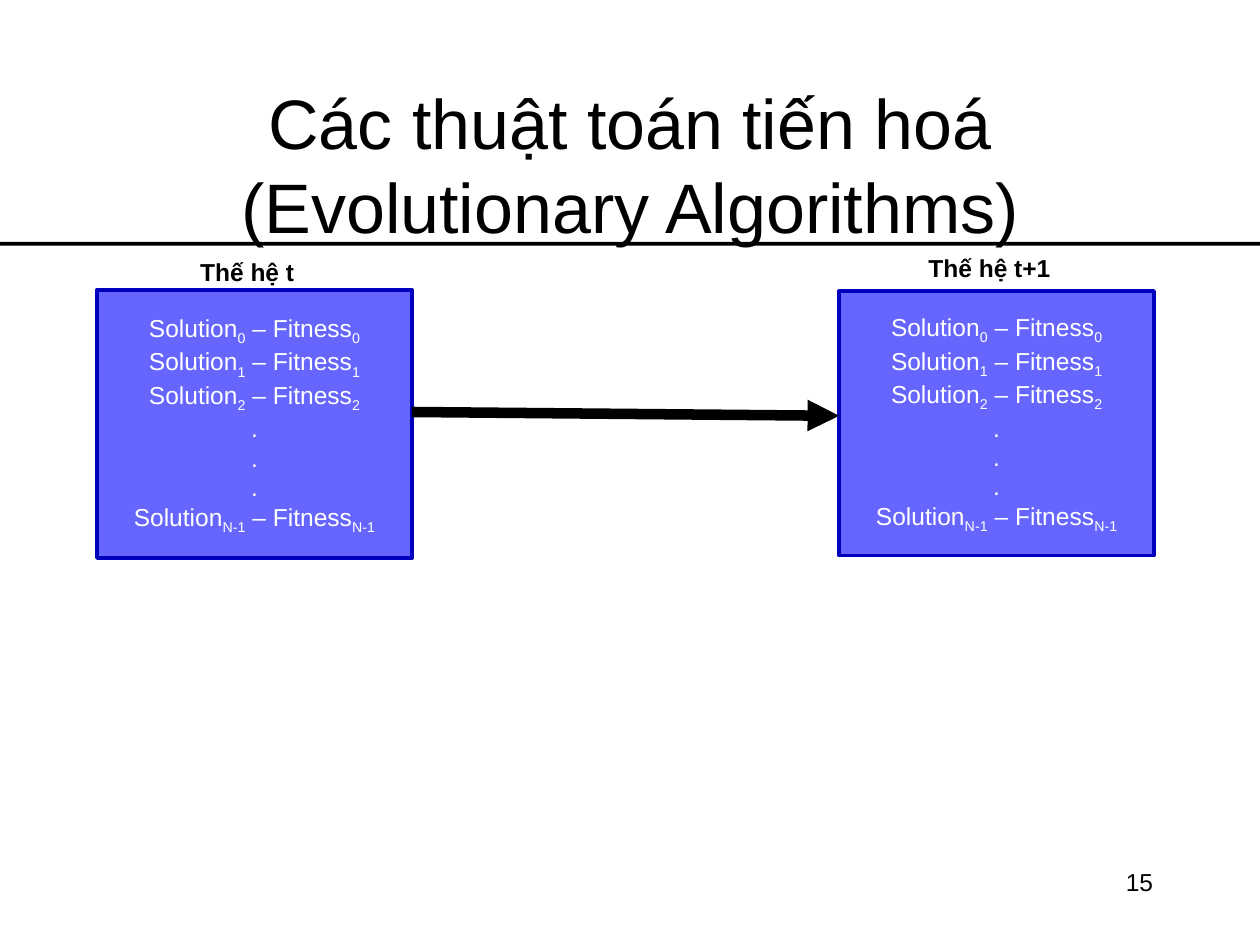
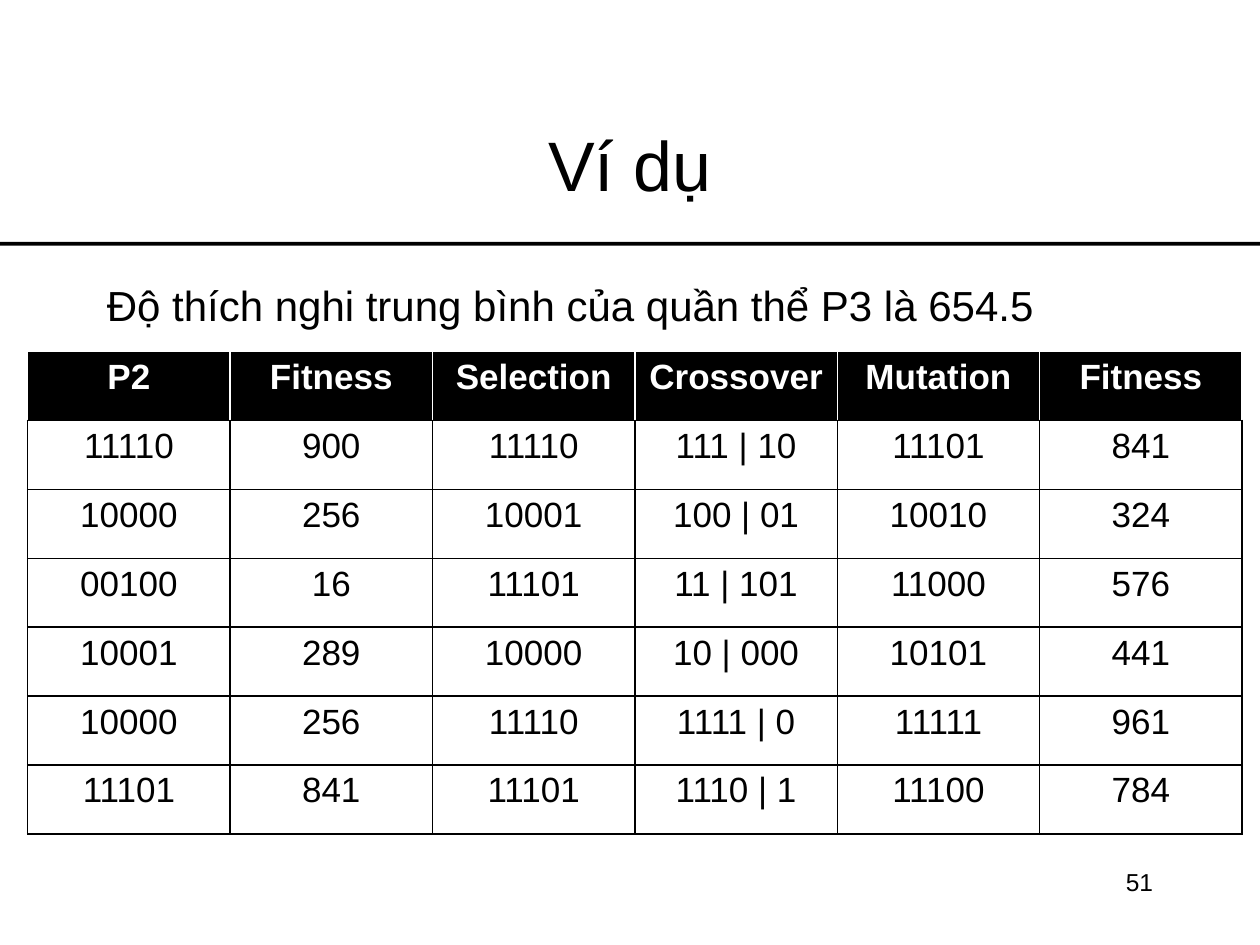
from typing import NamedTuple

from lxml.etree import SubElement
from pptx import Presentation
from pptx.dml.color import RGBColor
from pptx.enum.shapes import MSO_CONNECTOR, MSO_SHAPE
from pptx.enum.text import MSO_ANCHOR as Anchor, MSO_AUTO_SIZE, PP_ALIGN as Align
from pptx.oxml.ns import qn
from pptx.util import Inches, Pt

FONT = "Arial"
BLACK = RGBColor(0x00, 0x00, 0x00)
WHITE = RGBColor(0xFF, 0xFF, 0xFF)
VIOLET = RGBColor(0x66, 0x66, 0xFF)
NAVY = RGBColor(0x00, 0x00, 0xBD)


class Box(NamedTuple):
    left: float
    top: float
    width: float
    height: float

    def lengths(self) -> list:
        return [Inches(value) for value in self]


class Generation(NamedTuple):
    label: str
    label_box: Box
    population_box: Box


TITLE_BOX = Box(0.75, 0.67, 8.5, 1.25)
RULE_BOX = Box(-0.59, 1.92, 10.59, 0.03)
NUMBER_BOX = Box(7.17, 6.83, 2.08, 0.5)

GENERATIONS = [
    Generation("Thế hệ t", Box(1.49, 1.99, 1.52, 0.34), Box(0.77, 2.3, 2.5, 2.13)),
    Generation("Thế hệ t+1", Box(7.27, 1.96, 1.78, 0.34), Box(6.66, 2.31, 2.5, 2.1)),
]
# Subscripts of the listed solutions; None stands for a dot
SOLUTION_INDEXES = ["0", "1", "2", None, None, None, "N-1"]

SUMMARY_BOX = Box(0.75, 2.17, 8.5, 0.62)
TABLE_BOX = Box(0.22, 2.79, 9.64, 3.83)
HEADINGS = ["P2", "Fitness", "Selection", "Crossover", "Mutation", "Fitness"]
INDIVIDUALS = [
    ["11110", "900", "11110", "111 | 10", "11101", "841"],
    ["10000", "256", "10001", "100 | 01", "10010", "324"],
    ["00100", "16", "11101", "11 | 101", "11000", "576"],
    ["10001", "289", "10000", "10 | 000", "10101", "441"],
    ["10000", "256", "11110", "1111 | 0", "11111", "961"],
    ["11101", "841", "11101", "1110 | 1", "11100", "784"],
]


def add_run(paragraph, text: str, size: float, color: RGBColor = BLACK,
            bold: bool = False, subscript: bool = False) -> None:
    run = paragraph.add_run()
    run.text = text
    run.font.name = FONT
    run.font.size = Pt(size)
    run.font.bold = bold
    run.font.color.rgb = color
    if subscript:
        run._r.get_or_add_rPr().set("baseline", "-25000")


def add_text(slide, box: Box, text: str, size: float, bold: bool = False,
             align: Align = Align.LEFT) -> None:
    frame = slide.shapes.add_textbox(*box.lengths()).text_frame
    frame.word_wrap = True
    paragraph = frame.paragraphs[0]
    paragraph.alignment = align
    add_run(paragraph, text, size, bold=bold)


def add_titled_slide(deck, title_lines: list[str], number: int):
    slide = deck.slides.add_slide(deck.slide_layouts[5])

    # Rule under the title, pointing left
    rule = slide.shapes.add_shape(MSO_SHAPE.PENTAGON, *RULE_BOX.lengths())
    rule.adjustments[0] = 5.9
    rule.rotation = 180
    rule.shadow.inherit = False
    rule.fill.solid()
    rule.fill.fore_color.rgb = BLACK
    rule.line.fill.background()

    # Title
    title = slide.shapes.title
    title.left, title.top, title.width, title.height = TITLE_BOX.lengths()
    frame = title.text_frame
    frame.auto_size = MSO_AUTO_SIZE.NONE
    frame.vertical_anchor = Anchor.MIDDLE
    paragraph = frame.paragraphs[0]
    paragraph.alignment = Align.CENTER
    for position, line in enumerate(title_lines):
        if position:
            paragraph.add_line_break()
        add_run(paragraph, line, 40)

    # Slide number
    add_text(slide, NUMBER_BOX, str(number), 14, align=Align.RIGHT)
    return slide


def add_generation(slide, generation: Generation):
    population = slide.shapes.add_shape(
        MSO_SHAPE.RECTANGLE, *generation.population_box.lengths())
    population.shadow.inherit = False
    population.fill.solid()
    population.fill.fore_color.rgb = VIOLET
    population.line.color.rgb = NAVY
    population.line.width = Pt(2)
    frame = population.text_frame
    frame.vertical_anchor = Anchor.MIDDLE
    for position, index in enumerate(SOLUTION_INDEXES):
        paragraph = frame.add_paragraph() if position else frame.paragraphs[0]
        paragraph.alignment = Align.CENTER
        if index is None:
            add_run(paragraph, ".", 14, WHITE)
            continue
        for word in ("Solution", " – Fitness"):
            add_run(paragraph, word, 14, WHITE)
            add_run(paragraph, index, 14, WHITE, subscript=True)
    add_text(slide, generation.label_box, generation.label, 14, bold=True)


def add_arrow(slide, start: tuple[float, float], end: tuple[float, float]) -> None:
    arrow = slide.shapes.add_connector(
        MSO_CONNECTOR.STRAIGHT, *(Inches(value) for value in start + end))
    arrow.line.color.rgb = BLACK
    arrow.line.width = Pt(6)
    SubElement(arrow.line._get_or_add_ln(), qn("a:tailEnd"), type="triangle")
    SubElement(arrow._element.spPr, qn("a:effectLst"))


def set_borders(cell, color: RGBColor, bottom: RGBColor) -> None:
    properties = cell._tc.get_or_add_tcPr()
    for side in "LRTB":
        border = SubElement(properties, qn(f"a:ln{side}"), w=str(Pt(1)))
        fill = SubElement(border, qn("a:solidFill"))
        side_color = bottom if side == "B" else color
        SubElement(fill, qn("a:srgbClr"), val=str(side_color))


def add_population_table(slide) -> None:
    rows = [HEADINGS] + INDIVIDUALS
    table = slide.shapes.add_table(
        len(rows), len(HEADINGS), *TABLE_BOX.lengths()).table
    table.first_row = table.horz_banding = False
    for column in table.columns:
        column.width = Inches(TABLE_BOX.width / len(HEADINGS))
    for row in table.rows:
        row.height = Inches(TABLE_BOX.height / len(rows))
    for row_index, values in enumerate(rows):
        is_heading = row_index == 0
        ink, paper = (WHITE, BLACK) if is_heading else (BLACK, WHITE)
        for column_index, value in enumerate(values):
            cell = table.cell(row_index, column_index)
            set_borders(cell, ink, BLACK)
            cell.fill.solid()
            cell.fill.fore_color.rgb = paper
            paragraph = cell.text_frame.paragraphs[0]
            paragraph.alignment = Align.CENTER
            add_run(paragraph, value, 20, ink, bold=is_heading)


def main() -> None:
    deck = Presentation()
    deck.slide_width, deck.slide_height = Inches(10), Inches(7.5)

    # From one generation to the next
    evolution = add_titled_slide(
        deck, ["Các thuật toán tiến hoá", "(Evolutionary Algorithms)"], 15)
    for generation in GENERATIONS:
        add_generation(evolution, generation)
    add_arrow(evolution, (3.27, 3.27), (6.66, 3.3))

    # Worked example
    example = add_titled_slide(deck, ["Ví dụ"], 51)
    add_text(example, SUMMARY_BOX,
             "Độ thích nghi trung bình của quần thể P3 là 654.5", 24)
    add_population_table(example)

    deck.save("out.pptx")


if __name__ == "__main__":
    main()
